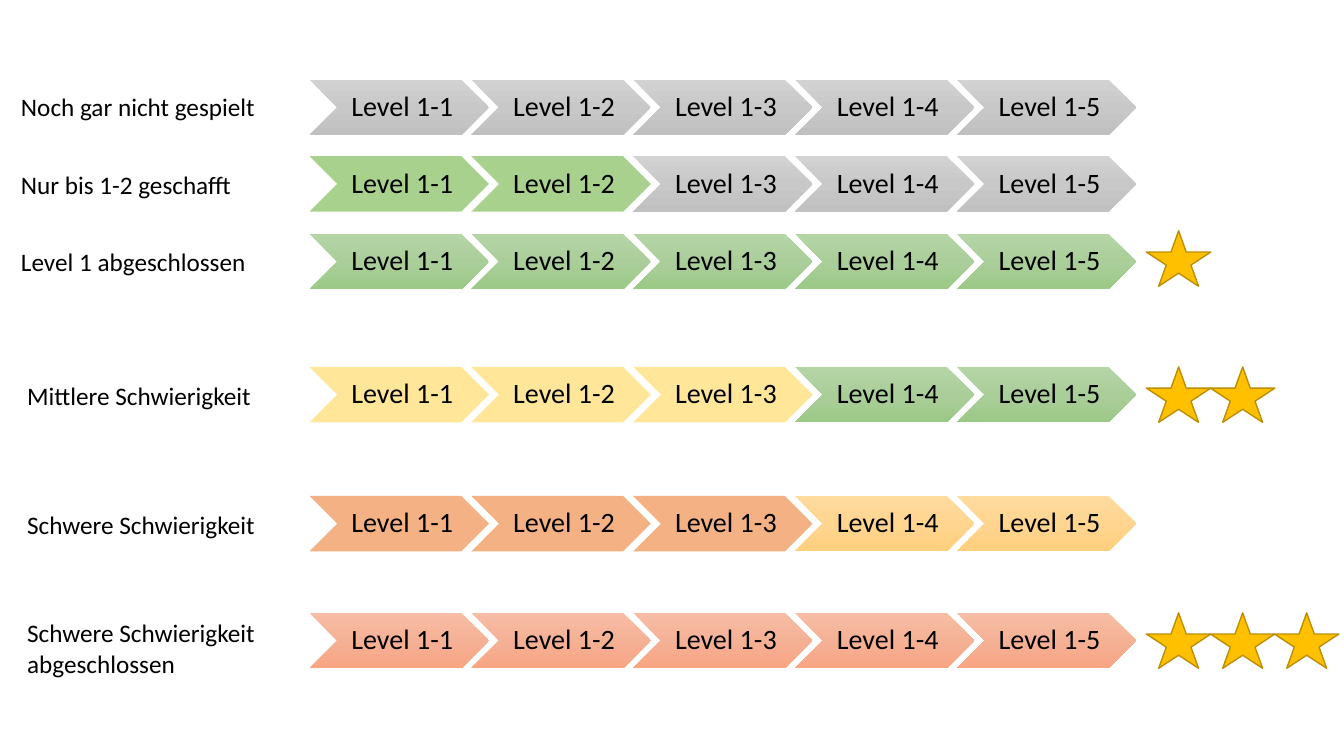
"""Builds a slide of level progress rows with chevrons and earned stars."""
from copy import deepcopy

from pptx import Presentation
from pptx import util as u
from pptx.dml.color import RGBColor
from pptx.enum import shapes, text

FILLS = {
    "open": ("D2D2D2", "C8C8C8", "C0C0C0"),
    "done": ("B5D5A7", "AACE9A", "9CC987"),
    "reached": ("A9D18E",),
    "medium": ("FFE699",),
    "medium done": ("FFDB9E", "FFD590", "FFD07C"),
    "hard": ("F4B183",),
    "hard done": ("F7BDA5", "F5B196", "F8A582"),
}
COLORS = {"text": "000000", "star": "FFC000", "star edge": "BD8E00"}
LEVELS = ["Level 1-1", "Level 1-2", "Level 1-3", "Level 1-4", "Level 1-5"]

# label, label left, label top, row top, chevron fills, stars, star top
ROWS = [
    ("Noch gar nicht gespielt", 0.11, 0.86, 0.79, ["open"] * 5, 0, 0.79),
    ("Nur bis 1-2 geschafft", 0.11, 1.63, 1.55, ["reached"] * 2 + ["open"] * 3, 0, 1.55),
    ("Level 1 abgeschlossen", 0.11, 2.39, 2.32, ["done"] * 5, 1, 2.29),
    ("Mittlere Schwierigkeit", 0.17, 3.72, 3.64, ["medium"] * 3 + ["done"] * 2, 2, 3.64),
    ("Schwere Schwierigkeit", 0.17, 5, 4.92, ["hard"] * 3 + ["medium done"] * 2, 0, 4.92),
    ("Schwere Schwierigkeit abgeschlossen", 0.17, 6.08, 6.08, ["hard done"] * 5, 3, 6.08),
]
ROW_HEIGHT = 0.55
CHEVRON_LEFT, CHEVRON_WIDTH = 3.07, 1.78
CHEVRON_STEP = (9.49 - CHEVRON_LEFT) / (len(LEVELS) - 1)
STAR_LEFT, STAR_WIDTH = 11.37, 0.64
STAR_STEP = (12.64 - STAR_LEFT) / 2
LABEL_WIDTH, LABEL_HEIGHT = 3.45, 0.4


def inches(*lengths):
    return [u.Inches(length) for length in lengths]


def write(box, words, size, align=text.PP_ALIGN.LEFT, anchor=text.MSO_ANCHOR.TOP,
          insets=(0.1, 0.05, 0.1, 0.05), spacing=1.0):
    frame = box.text_frame
    frame.word_wrap = True
    frame.vertical_anchor = anchor
    (frame.margin_left, frame.margin_top,
     frame.margin_right, frame.margin_bottom) = inches(*insets)
    para = frame.paragraphs[0]
    para.alignment, para.line_spacing = align, spacing
    span = para.add_run()
    span.text = words
    span.font.name, span.font.size = "Calibri", u.Pt(size)
    span.font.color.rgb = RGBColor.from_string(COLORS["text"])


def paint(shape, colors):
    if len(colors) == 1:
        shape.fill.solid()
        shape.fill.fore_color.rgb = RGBColor.from_string(colors[0])
        return
    shape.fill.gradient()
    shape.fill.gradient_angle = 270
    stop_list = shape._element.spPr.gradFill.gsLst
    stop_list.append(deepcopy(stop_list[0]))
    for index, (stop, color) in enumerate(zip(shape.fill.gradient_stops, colors)):
        stop.position = index / (len(colors) - 1)
        stop.color.rgb = RGBColor.from_string(color)


def add_shape(holder, kind, box, colors):
    shape = holder.shapes.add_shape(kind, *inches(*box))
    shape.shadow.inherit = False
    shape.line.fill.background()
    paint(shape, colors)
    return shape


def add_row(page, label, label_left, label_top, top, fills, stars, star_top):
    chain = page.shapes.add_group_shape()
    for index, (level, fill) in enumerate(zip(LEVELS, fills)):
        left = CHEVRON_LEFT + index * CHEVRON_STEP
        chevron = add_shape(chain, shapes.MSO_SHAPE.CHEVRON,
                            (left, top, CHEVRON_WIDTH, ROW_HEIGHT), FILLS[fill])
        write(chevron, level, 20, align=text.PP_ALIGN.CENTER, spacing=0.9,
              anchor=text.MSO_ANCHOR.MIDDLE, insets=(0.09, 0.03, 0.03, 0.03))
    caption = page.shapes.add_textbox(*inches(label_left, label_top, LABEL_WIDTH, LABEL_HEIGHT))
    write(caption, label, 18)
    caption.text_frame.auto_size = text.MSO_AUTO_SIZE.SHAPE_TO_FIT_TEXT
    for index in range(stars):
        left = STAR_LEFT + index * STAR_STEP
        star = add_shape(page, shapes.MSO_SHAPE.STAR_5_POINT,
                         (left, star_top, STAR_WIDTH, ROW_HEIGHT), [COLORS["star"]])
        star.line.color.rgb = RGBColor.from_string(COLORS["star edge"])
        star.line.width = u.Pt(1)


def main():
    deck = Presentation()
    deck.slide_width, deck.slide_height = inches(13.33, 7.5)
    page = deck.slides.add_slide(deck.slide_layouts[6])
    for row in ROWS:
        add_row(page, *row)
    deck.save("out.pptx")


if __name__ == "__main__":
    main()
